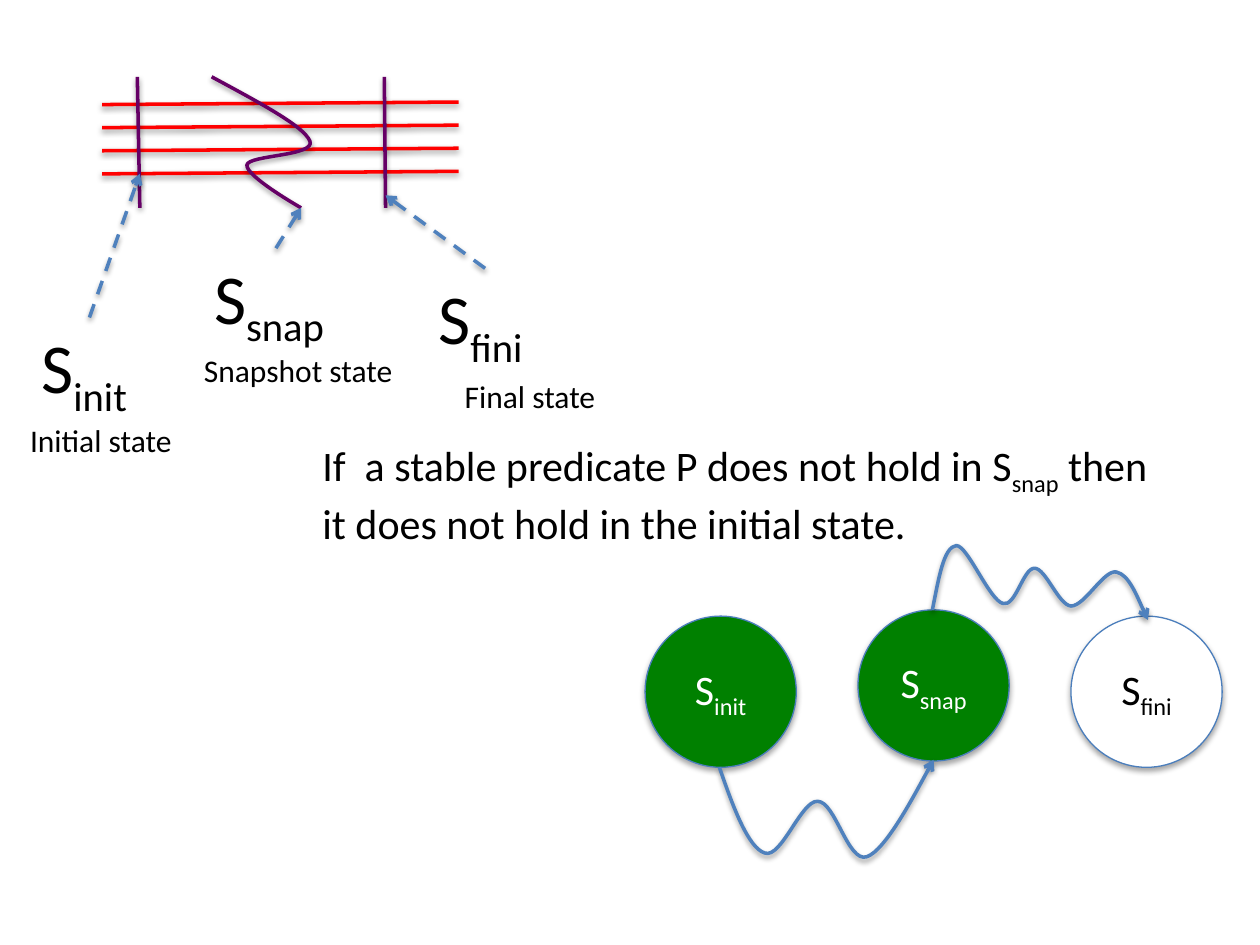
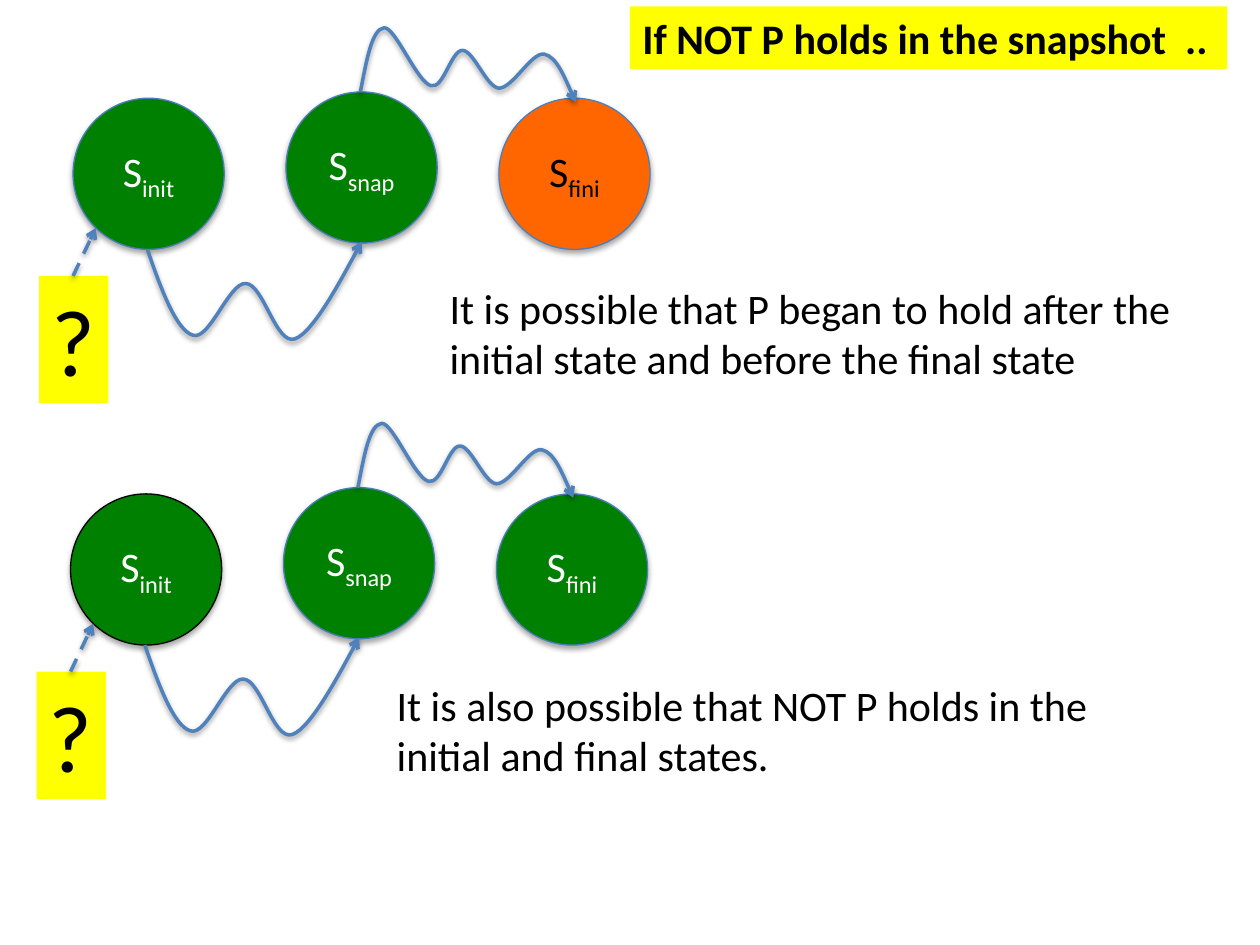
"""Build two slides on stable predicates and snapshot states."""
import pptx
import pptx.dml.color
import pptx.enum.dml
import pptx.enum.shapes
import pptx.enum.text
import pptx.oxml.ns
import pptx.util
from lxml import etree

RGB = pptx.dml.color.RGBColor
BLACK = RGB(0x00, 0x00, 0x00)
WHITE = RGB(0xFF, 0xFF, 0xFF)
RED = RGB(0xFF, 0x00, 0x00)
PURPLE = RGB(0x66, 0x00, 0x66)
BLUE = RGB(0x4F, 0x81, 0xBD)
RIM = RGB(0x4B, 0x7E, 0xBC)
GREEN = RGB(0x00, 0x80, 0x00)
ORANGE = RGB(0xFF, 0x66, 0x00)
YELLOW = RGB(0xFF, 0xFF, 0x00)

FONT = "Calibri"
BODY = 24
DIAMETER = 1.2
PITCH = 1.69
LIFT = 0.05
STATES = ("init", "snap", "fini")
LINE_SHADOW = dict(dist=20000, alpha=38000)
SHAPE_SHADOW = dict(dist=23000, alpha=35000)

# Text parts alternate between normal and subscript.
CHAINS = {
    "slide 1": dict(origin=(5.12, 4.89), fills=(GREEN, GREEN, WHITE), rim=RIM),
    "began later": dict(origin=(0.58, 0.78), fills=(GREEN, GREEN, ORANGE), rim=RIM),
    "never held": dict(origin=(0.56, 3.92), fills=(GREEN, GREEN, GREEN), rim=BLACK),
}
WAVE_TO_SNAP = [
    (0.59, 1.2), (0.7, 1.52), (0.82, 1.84), (0.95, 1.88),
    (1.08, 1.93), (1.24, 1.46), (1.37, 1.47),
    (1.51, 1.47), (1.61, 1.96), (1.76, 1.91),
    (1.91, 1.86), (2.29, 1.14), (2.29, 1.14)]
WAVE_TO_FINI = [
    (2.28, -0.05), (2.33, -0.3), (2.37, -0.55), (2.47, -0.56),
    (2.56, -0.56), (2.73, -0.13), (2.84, -0.1),
    (2.94, -0.07), (3.0, -0.38), (3.09, -0.38),
    (3.18, -0.38), (3.28, -0.09), (3.38, -0.08),
    (3.49, -0.08), (3.64, -0.37), (3.74, -0.35),
    (3.84, -0.33), (3.99, 0.03), (3.99, 0.03)]
SNAPSHOT_CUT = [
    (1.68, 0.61), (2.05, 0.81), (2.41, 1.0), (2.46, 1.12),
    (2.51, 1.24), (1.97, 1.23), (1.96, 1.31),
    (1.95, 1.4), (2.39, 1.65), (2.39, 1.65)]
STRAIGHT_CUTS = [((1.09, 0.61), (1.11, 1.65)), ((3.05, 0.61), (3.06, 1.65))]
PROCESS_LEFT, PROCESS_RIGHT = 0.81, 3.64
PROCESS_TOP, PROCESS_BOTTOM, PROCESSES = 0.83, 1.38, 4

# Symbol box, caption, caption box, arrow start, arrow end.
CUT_LABELS = [
    ((0.23, 2.52, 0.96, 0.77), "Initial state", (0.14, 3.29, 1.35, 0.4),
     (0.71, 2.52), (1.11, 1.38)),
    ((1.6, 1.97, 1.18, 0.77), "Snapshot state", (1.52, 2.74, 1.72, 0.4),
     (2.19, 1.97), (2.39, 1.65)),
    ((3.38, 2.13, 0.94, 0.77), "Final state", (3.59, 2.94, 1.26, 0.4),
     (3.85, 2.13), (3.06, 1.55)),
]
CLAIM = ("If  a stable predicate P does not hold in S", "snap",
         " then it does not hold in the initial state.")
HEADING = ("If NOT P holds in the snapshot  ..",)
CASES = [
    ("began later", (3.47, 2.19, 6.27, 0.91),
     ("It is possible that P began to hold after the initial state "
      "and before the final state",)),
    ("never held", (3.05, 5.34, 6.27, 0.91),
     ("It is also possible that NOT P holds in the initial and final states.",)),
]


def inches(values):
    return [pptx.util.Inches(v) for v in values]


def child(parent, tag, **attrs):
    el = etree.SubElement(parent, pptx.oxml.ns.qn(tag))
    for name, value in attrs.items():
        el.set(name, str(value))
    return el


def add_shadow(sp, dist, alpha):
    effects = child(sp._element.spPr, "a:effectLst")
    outer = child(effects, "a:outerShdw", blurRad=40000, dist=dist,
                  dir=5400000, rotWithShape=0)
    child(child(outer, "a:srgbClr", val="000000"), "a:alpha", val=alpha)


def style_stroke(sp, color, arrow=False, dashed=False):
    sp.line.color.rgb = color
    sp.line.width = pptx.util.Pt(2)
    if dashed:
        sp.line.dash_style = pptx.enum.dml.MSO_LINE.DASH
    if arrow:
        child(sp.line._get_or_add_ln(), "a:tailEnd", type="arrow")
    add_shadow(sp, **LINE_SHADOW)


def add_line(s, start, end, color, **stroke):
    straight = pptx.enum.shapes.MSO_CONNECTOR.STRAIGHT
    style_stroke(s.shapes.add_connector(straight, *inches(start + end)), color, **stroke)


def add_curve(s, points, color, origin=(0, 0), arrow=False):
    knots = [inches((origin[0] + x, origin[1] + y)) for x, y in points]
    builder = s.shapes.build_freeform(*knots[0])
    builder.add_line_segments(knots[1:], close=False)
    sp = builder.convert_to_shape()
    segments = list(sp._element.iter(pptx.oxml.ns.qn("a:lnTo")))
    outline = segments[0].getparent()
    for i in range(0, len(segments), 3):
        bezier = child(outline, "a:cubicBezTo")
        for segment in segments[i:i + 3]:
            bezier.append(segment[0])
            outline.remove(segment)
    sp.fill.background()
    style_stroke(sp, color, arrow)


def write(tf, parts, size, color=BLACK, bold=False):
    p = tf.paragraphs[0]
    for i, part in enumerate(parts):
        r = p.add_run()
        r.text = part
        for name, value in dict(name=FONT, size=pptx.util.Pt(size), bold=bold).items():
            setattr(r.font, name, value)
        r.font.color.rgb = color
        if i % 2:
            r._r.get_or_add_rPr().set("baseline", "-25000")
    return p


def add_text(s, box, parts, size, wrap=True, fill=None, bold=False):
    sp = s.shapes.add_textbox(*inches(box))
    if fill is not None:
        sp.fill.solid()
        sp.fill.fore_color.rgb = fill
    tf = sp.text_frame
    tf.word_wrap = wrap
    tf.auto_size = pptx.enum.text.MSO_AUTO_SIZE.SHAPE_TO_FIT_TEXT
    write(tf, parts, size, bold=bold)


def add_chain(s, origin, fills, rim):
    x, y = origin
    for i, (state, fill) in enumerate(zip(STATES, fills)):
        box = (x + i * PITCH, y - LIFT * (i % 2), DIAMETER, DIAMETER)
        sp = s.shapes.add_shape(pptx.enum.shapes.MSO_SHAPE.OVAL, *inches(box))
        sp.fill.solid()
        sp.fill.fore_color.rgb = fill
        sp.line.color.rgb = RIM if i else rim
        sp.line.width = pptx.util.Pt(0.75)
        add_shadow(sp, **SHAPE_SHADOW)
        sp.text_frame.vertical_anchor = pptx.enum.text.MSO_ANCHOR.MIDDLE
        p = write(sp.text_frame, ("S", state), BODY, WHITE if fill == GREEN else BLACK)
        p.alignment = pptx.enum.text.PP_ALIGN.CENTER
    for wave in (WAVE_TO_SNAP, WAVE_TO_FINI):
        add_curve(s, wave, BLUE, origin, arrow=True)


def add_question(s, origin):
    x, y = origin
    add_text(s, (x - 0.27, y + 1.41, 0.55, 1.01), ("?",), 54, wrap=False, fill=YELLOW)
    add_line(s, (x, y + 1.41), (x + 0.18, y + 1.03), BLUE, arrow=True, dashed=True)


def build_timeline_slide(s):
    step = (PROCESS_BOTTOM - PROCESS_TOP) / (PROCESSES - 1)
    for i in range(PROCESSES):
        y = PROCESS_TOP + i * step
        add_line(s, (PROCESS_LEFT, y), (PROCESS_RIGHT, y - 0.02), RED)
    add_curve(s, SNAPSHOT_CUT, PURPLE)
    for start, end in STRAIGHT_CUTS:
        add_line(s, start, end, PURPLE)
    for state, (box, caption, caption_box, start, end) in zip(STATES, CUT_LABELS):
        add_text(s, box, ("S", state), 40, wrap=False)
        add_text(s, caption_box, (caption,), 18, wrap=False)
        add_line(s, start, end, BLUE, arrow=True, dashed=True)
    add_chain(s, **CHAINS["slide 1"])
    add_text(s, (2.46, 3.44, 6.89, 0.91), CLAIM, BODY)


def build_cases_slide(s):
    for case, box, parts in CASES:
        add_chain(s, **CHAINS[case])
        add_question(s, CHAINS[case]["origin"])
        add_text(s, box, parts, BODY)
    add_text(s, (5, 0.05, 4.74, 0.5), HEADING, BODY, fill=YELLOW, bold=True)


def main():
    prs = pptx.Presentation()
    prs.slide_width, prs.slide_height = inches((10, 7.5))
    for build in (build_timeline_slide, build_cases_slide):
        build(prs.slides.add_slide(prs.slide_layouts[6]))
    prs.save("out.pptx")


if __name__ == "__main__":
    main()
